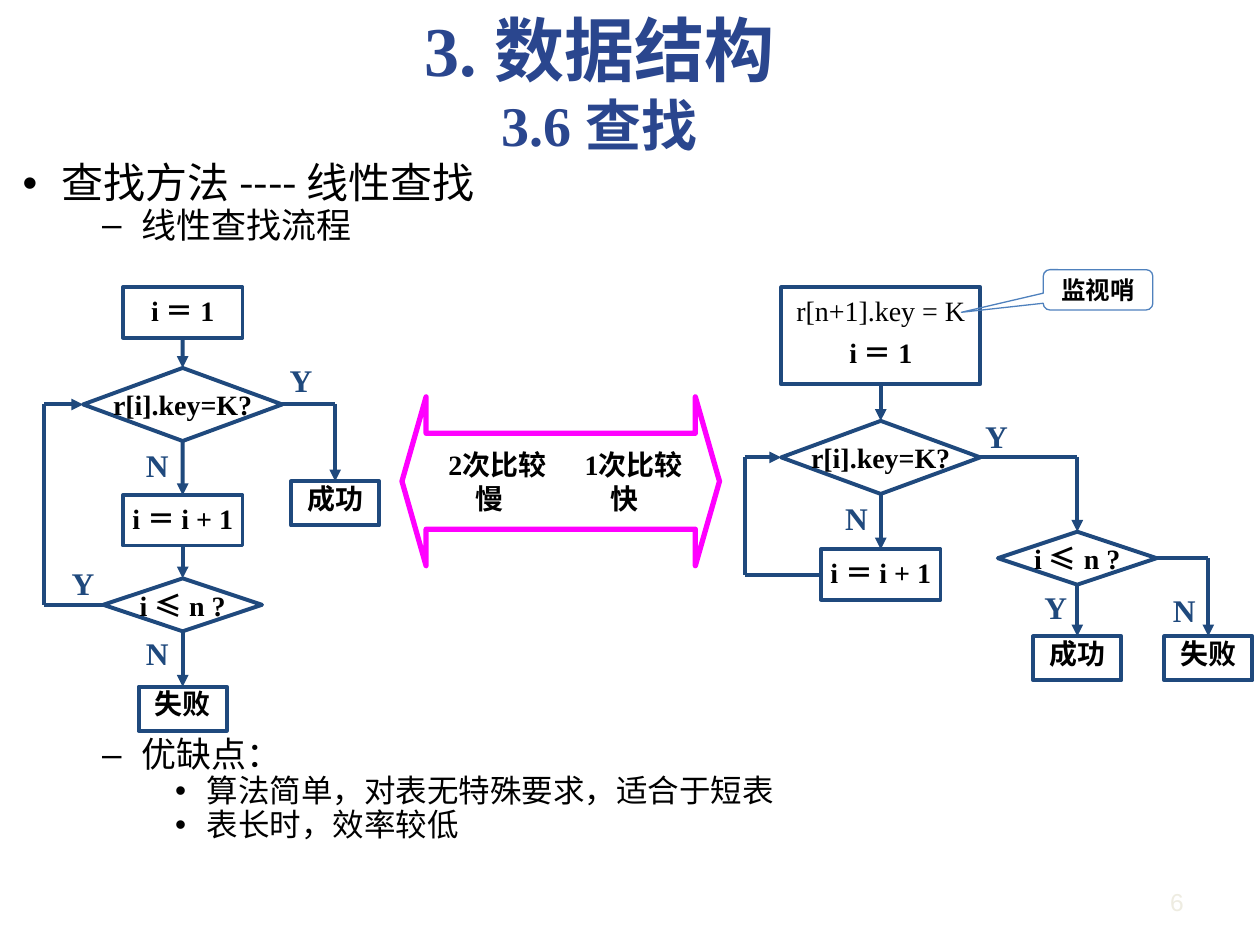
import pptx
import pptx.dml.color
import pptx.enum.shapes
import pptx.enum.text
import pptx.oxml.ns
import pptx.util
from lxml import etree

Inches = pptx.util.Inches
Pt = pptx.util.Pt
RGBColor = pptx.dml.color.RGBColor
SHAPES = pptx.enum.shapes.MSO_SHAPE
ALIGN = pptx.enum.text.PP_ALIGN
ANCHOR = pptx.enum.text.MSO_ANCHOR
qn = pptx.oxml.ns.qn

BLACK = RGBColor(0, 0, 0)
NAVY = RGBColor(0x1F, 0x49, 0x7D)
TITLE_BLUE = RGBColor(0x2A, 0x46, 0x8E)
CALLOUT_BLUE = RGBColor(0x4F, 0x81, 0xBD)
MAGENTA = RGBColor(0xFF, 0x00, 0xFF)
PALE = RGBColor(0xEE, 0xEC, 0xE1)
SERIF = "Times New Roman"
CHINESE = "Noto Sans CJK SC"


def write(paragraph, text, size=16, color=BLACK, bold=True, font=SERIF, align=None):
    if align is not None:
        paragraph.alignment = align
    run = paragraph.add_run()
    run.text = text
    run.font.size = Pt(size)
    run.font.bold = bold
    run.font.name = font
    run.font.color.rgb = color
    east_asian = etree.SubElement(run.font._element, qn("a:ea"))
    east_asian.set("typeface", CHINESE)


def add_outlined(kind, left, top, width, height, color=NAVY, weight=2.25):
    shape = slide.shapes.add_shape(
        kind, Inches(left), Inches(top), Inches(width), Inches(height))
    shape.shadow.inherit = False
    shape.fill.background()
    shape.line.color.rgb = color
    shape.line.width = Pt(weight)
    return shape


presentation = pptx.Presentation()
presentation.slide_width = Inches(10)
presentation.slide_height = Inches(7.5)
slide = presentation.slides.add_slide(presentation.slide_layouts[1])

title = slide.shapes.title
title.left, title.top, title.width, title.height = (
    Inches(0.51), Inches(0), Inches(8.5), Inches(1.31))
title.text_frame.auto_size = pptx.enum.text.MSO_AUTO_SIZE.NONE
title.text_frame.vertical_anchor = ANCHOR.MIDDLE
heading = title.text_frame.paragraphs[0]
write(heading, "3. 数据结构", size=40, color=TITLE_BLUE, align=ALIGN.CENTER)
heading.add_line_break()
write(heading, "3.6 查找", size=32, color=TITLE_BLUE)

body = slide.placeholders[1]
body.left, body.top, body.width, body.height = (
    Inches(0.08), Inches(1.24), Inches(9.92), Inches(6.14))
body.text_frame.auto_size = pptx.enum.text.MSO_AUTO_SIZE.NONE
level_formats = [(24, 0.31, 0.31), (20, 0.94, 0.31), (18, 1.46, 0.25)]
outline = [
    (0, "查找方法 ---- 线性查找", 0),
    (1, "线性查找流程", 0),
    (1, "优缺点：", 281),
    (2, "算法简单，对表无特殊要求，适合于短表", 0),
    (2, "表长时，效率较低", 0),
]
for index, (level, text, space_before) in enumerate(outline):
    paragraph = body.text_frame.paragraphs[0] if index == 0 else body.text_frame.add_paragraph()
    size, margin, hanging = level_formats[level]
    paragraph.level = level
    paragraph.line_spacing = 0.9
    paragraph.space_before = Pt(space_before)
    properties = paragraph._p.get_or_add_pPr()
    properties.set("marL", str(Inches(margin)))
    properties.set("indent", str(-Inches(hanging)))
    write(paragraph, text, size=size, bold=False, font=CHINESE)

node_formats = {
    "start": (SHAPES.RECTANGLE, 0.95, 0.4, 0.05),
    "sentinel start": (SHAPES.RECTANGLE, 1.58, 0.77, 0.05),
    "step": (SHAPES.RECTANGLE, 0.95, 0.4, 0.05),
    "result": (SHAPES.RECTANGLE, 0.7, 0.35, 0),
    "compare": (SHAPES.FLOWCHART_DECISION, 1.58, 0.58, 0.05),
    "bound": (SHAPES.FLOWCHART_DECISION, 1.26, 0.42, 0.05),
}
bound_runs = [("i ", SERIF), ("≤", CHINESE), (" n ?", SERIF)]
nodes = [
    ("left start", "start", 1.45, 2.28, [("i ＝ 1", SERIF)]),
    ("left compare", "compare", 1.45, 2.92, [("r[i].key=K?", SERIF)]),
    ("left step", "step", 1.45, 3.93, [("i ＝ i + 1", SERIF)]),
    ("left bound", "bound", 1.45, 4.59, bound_runs),
    ("left failure", "result", 1.45, 5.45, [("失败", SERIF)]),
    ("left success", "result", 2.66, 3.82, [("成功", SERIF)]),
    ("right start", "sentinel start", 6.99, 2.28, []),
    ("right compare", "compare", 6.99, 3.34, [("r[i].key=K?", SERIF)]),
    ("right step", "step", 6.99, 4.36, [("i ＝ i + 1", SERIF)]),
    ("right bound", "bound", 8.55, 4.22, bound_runs),
    ("right success", "result", 8.55, 5.05, [("成功", SERIF)]),
    ("right failure", "result", 9.59, 5.05, [("失败", SERIF)]),
]
node_shapes = {}
for name, role, center, top, runs in nodes:
    kind, width, height, inset = node_formats[role]
    shape = add_outlined(kind, center - width / 2, top, width, height)
    node_shapes[name] = shape
    frame = shape.text_frame
    frame.word_wrap = False
    frame.margin_left = frame.margin_right = 0
    frame.margin_top = Inches(inset)
    is_decision = kind == SHAPES.FLOWCHART_DECISION
    frame.vertical_anchor = ANCHOR.MIDDLE if is_decision else ANCHOR.TOP
    for text, font in runs:
        write(frame.paragraphs[0], text, font=font, align=ALIGN.CENTER)

sentinel_frame = node_shapes["right start"].text_frame
write(sentinel_frame.paragraphs[0], "r[n+1].key = K", bold=False, align=ALIGN.CENTER)
paragraph = sentinel_frame.add_paragraph()
paragraph.space_before = Pt(5)
write(paragraph, "i ＝ 1", align=ALIGN.CENTER)

TOP, LEFT, BOTTOM, RIGHT = range(4)
flows = [
    (("left start", BOTTOM), ("left compare", TOP), True),
    (("left compare", BOTTOM), ("left step", TOP), True),
    (("left step", BOTTOM), ("left bound", TOP), True),
    (("left bound", BOTTOM), ("left failure", TOP), True),
    (("left compare", RIGHT), (2.66, 3.21), False),
    ((2.66, 3.21), ("left success", TOP), True),
    (("left bound", LEFT), (0.35, 4.8), False),
    ((0.35, 4.8), (0.35, 3.21), False),
    ((0.35, 3.21), ("left compare", LEFT), True),
    (("right start", BOTTOM), ("right compare", TOP), True),
    (("right compare", BOTTOM), ("right step", TOP), True),
    (("right compare", RIGHT), (8.55, 3.63), False),
    ((8.55, 3.63), ("right bound", TOP), True),
    (("right bound", BOTTOM), ("right success", TOP), True),
    (("right bound", RIGHT), (9.59, 4.43), False),
    ((9.59, 4.43), ("right failure", TOP), True),
    (("right step", LEFT), (5.91, 4.56), False),
    ((5.91, 4.56), (5.91, 3.63), False),
    ((5.91, 3.63), ("right compare", LEFT), True),
]
for begin, end, has_arrow in flows:
    points = [(0, 0) if point[0] in node_shapes else point for point in (begin, end)]
    connector = slide.shapes.add_connector(
        pptx.enum.shapes.MSO_CONNECTOR.STRAIGHT,
        *[Inches(value) for point in points for value in point])
    if begin[0] in node_shapes:
        connector.begin_connect(node_shapes[begin[0]], begin[1])
    if end[0] in node_shapes:
        connector.end_connect(node_shapes[end[0]], end[1])
    connector.line.color.rgb = NAVY
    connector.line.width = Pt(2.25)
    if has_arrow:
        etree.SubElement(connector.line._get_or_add_ln(), qn("a:tailEnd")).set("type", "triangle")
    etree.SubElement(connector._element.spPr, qn("a:effectLst"))

branch_labels = [
    ("Y", 2.2, 2.82), ("N", 1.06, 3.49), ("Y", 0.47, 4.43), ("N", 1.06, 4.98),
    ("Y", 7.72, 3.26), ("N", 6.61, 3.91), ("Y", 8.19, 4.62), ("N", 9.21, 4.64),
]
for text, left, top in branch_labels:
    label = slide.shapes.add_textbox(Inches(left), Inches(top), Inches(0.4), Inches(0.4))
    label.text_frame.word_wrap = True
    write(label.text_frame.paragraphs[0], text, size=18, color=NAVY)

comparison = add_outlined(SHAPES.LEFT_RIGHT_ARROW, 3.19, 3.15, 2.52, 1.34, MAGENTA, 3)
comparison.adjustments[0] = 0.568
comparison.adjustments[1] = 0.143
frame = comparison.text_frame
frame.word_wrap = True
frame.vertical_anchor = ANCHOR.MIDDLE
comparison_rows = [("\t2次比较\t1次比较", (0.55, 1.63)), ("\t慢\t快", (0.49, 1.56))]
for index, (text, stops) in enumerate(comparison_rows):
    paragraph = frame.paragraphs[0] if index == 0 else frame.add_paragraph()
    tab_list = etree.SubElement(paragraph._p.get_or_add_pPr(), qn("a:tabLst"))
    for stop in stops:
        etree.SubElement(tab_list, qn("a:tab"), pos=str(Inches(stop)), algn="ctr")
    write(paragraph, text, align=ALIGN.LEFT)

callout = add_outlined(
    SHAPES.ROUNDED_RECTANGULAR_CALLOUT, 8.28, 2.14, 0.87, 0.32, CALLOUT_BLUE, 0.75)
for index, value in enumerate((-1.246, 0.557, 0.167)):
    callout.adjustments[index] = value
frame = callout.text_frame
frame.margin_left = frame.margin_right = Inches(0.02)
frame.margin_top = frame.margin_bottom = Inches(0.01)
frame.vertical_anchor = ANCHOR.MIDDLE
write(frame.paragraphs[0], "监视哨", size=14, align=ALIGN.CENTER)

page_number = slide.shapes.add_textbox(Inches(9.09), Inches(6.99), Inches(0.5), Inches(0.32))
page_number.text_frame.word_wrap = True
write(page_number.text_frame.paragraphs[0], "6", size=14, color=PALE, bold=False,
      font="Arial", align=ALIGN.CENTER)

presentation.save("out.pptx")
